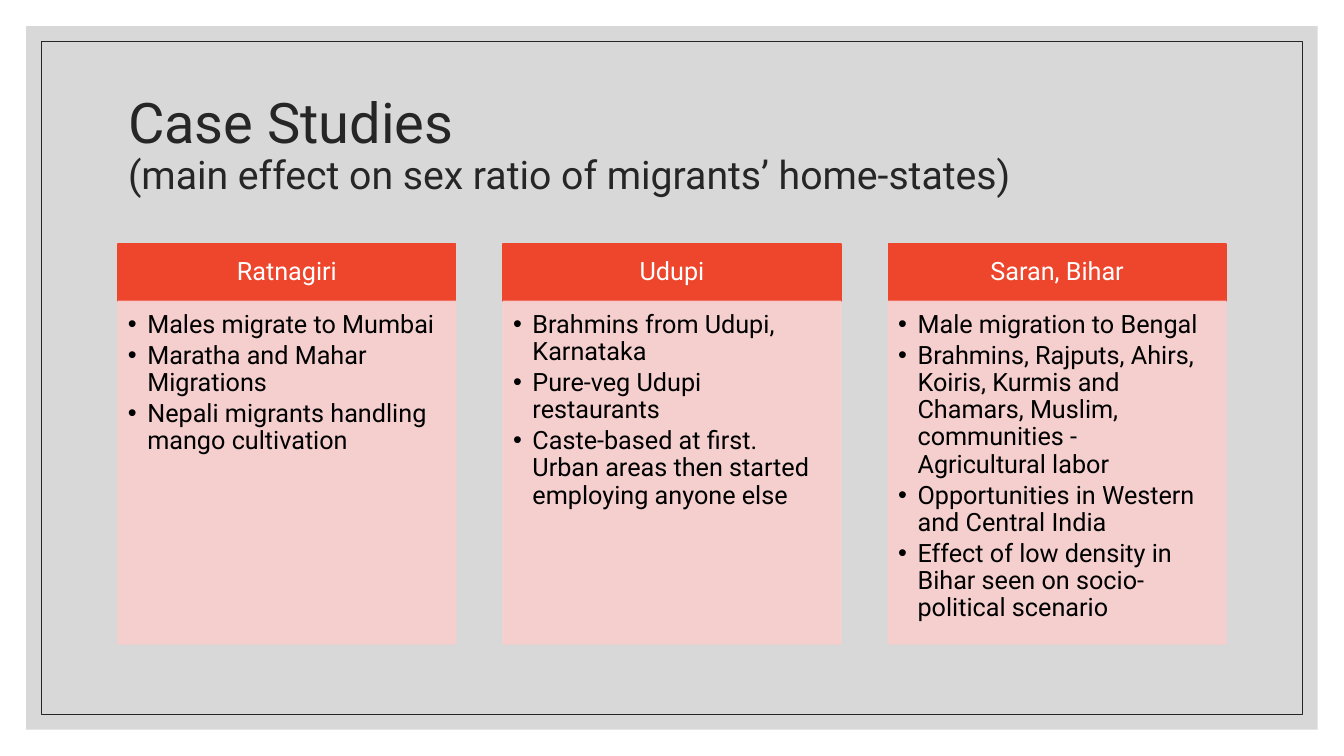
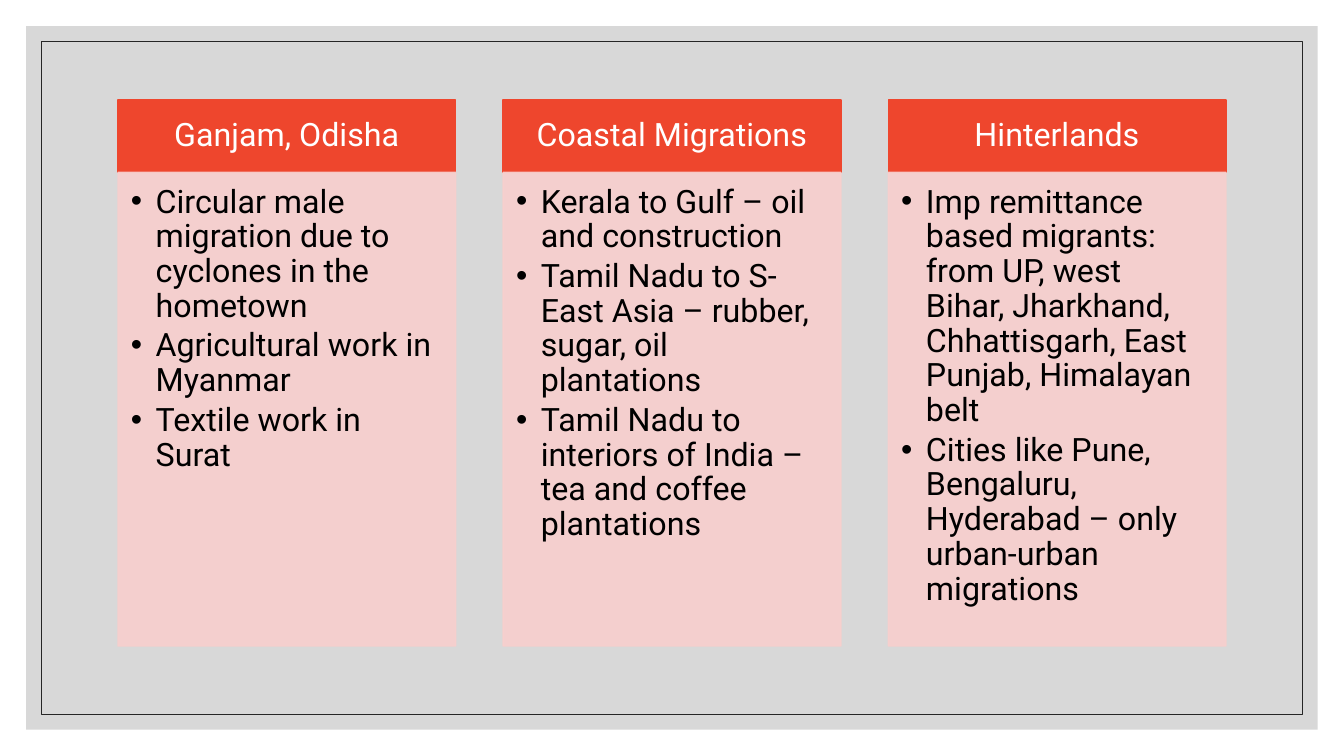
from dataclasses import dataclass
from typing import Any, Optional

from lxml.etree import SubElement
from pptx import Presentation
from pptx.dml.color import RGBColor
from pptx.enum.shapes import MSO_SHAPE
from pptx.enum.text import MSO_ANCHOR as Anchor, MSO_AUTO_SIZE as AutoSize, PP_ALIGN as Align
from pptx.oxml.ns import qn
from pptx.util import Inches, Pt


@dataclass(frozen=True)
class Theme:
    """Colours and type sizes shared by the slides."""
    font: str = "Roboto"
    ink: RGBColor = RGBColor.from_string("262626")
    panel: RGBColor = RGBColor.from_string("BFBFBF")
    accent: RGBColor = RGBColor.from_string("EE462D")
    tint: RGBColor = RGBColor.from_string("F8CFCD")
    white: RGBColor = RGBColor.from_string("FFFFFF")
    black: RGBColor = RGBColor.from_string("000000")
    title_size: float = 40
    subtitle_size: float = 28
    line_spacing: float = 0.9


@dataclass(frozen=True)
class Box:
    """A rectangle in inches."""
    left: float
    top: float
    width: float
    height: float

    def lengths(self) -> tuple:
        """Return the four lengths in slide units."""
        return tuple(Inches(n) for n in (self.left, self.top, self.width, self.height))


@dataclass(frozen=True)
class Grid:
    """Equal columns across the content area."""
    left: float = 1.17
    width: float = 10.99
    gap: float = 0.47
    count: int = 3

    def cell(self, column: int, top: float, height: float) -> Box:
        """Return the box of one column at the given height."""
        width = (self.width - self.gap * (self.count - 1)) / self.count
        return Box(self.left + column * (width + self.gap), top, width, height)


@dataclass(frozen=True)
class Card:
    """A heading with its bullet points."""
    heading: str
    points: tuple


@dataclass(frozen=True)
class CardStyle:
    """Position and type size of a row of cards."""
    top: float
    header_height: float
    body_height: float
    size: float


@dataclass(frozen=True)
class TextStyle:
    """Text format, with insets, indent and spacing in ems."""
    colour: RGBColor
    align: Any
    anchor: Any
    insets: tuple
    space_after: float
    bullet_indent: float = 0


THEME = Theme()
GRID = Grid()
WIDTH, HEIGHT = 13.33, 7.5
HEADER_TEXT = TextStyle(THEME.white, Align.CENTER, Anchor.MIDDLE, (0.56, 0.32, 0.56, 0.32), 0.35)
BODY_TEXT = TextStyle(THEME.black, Align.LEFT, Anchor.TOP, (0.4, 0.4, 0.56, 0.64), 0.15, 0.77)

CASE_CARDS = (
    Card("Ratnagiri", (
        "Males migrate to Mumbai",
        "Maratha and Mahar Migrations",
        "Nepali migrants handling mango cultivation")),
    Card("Udupi", (
        "Brahmins from Udupi, Karnataka",
        "Pure-veg Udupi restaurants",
        "Caste-based at first. Urban areas then started employing anyone else")),
    Card("Saran, Bihar", (
        "Male migration to Bengal",
        "Brahmins, Rajputs, Ahirs, Koiris, Kurmis and Chamars, Muslim, communities - "
        "Agricultural labor",
        "Opportunities in Western and Central India",
        "Effect of low density in Bihar seen on socio-political scenario")),
)
REGION_CARDS = (
    Card("Ganjam, Odisha", (
        "Circular male migration due to cyclones in the hometown",
        "Agricultural work in Myanmar",
        "Textile work in Surat")),
    Card("Coastal Migrations", (
        "Kerala to Gulf – oil and construction",
        "Tamil Nadu to S-East Asia – rubber, sugar, oil plantations",
        "Tamil Nadu to interiors of India – tea and coffee plantations")),
    Card("Hinterlands", (
        "Imp remittance based migrants: from UP, west Bihar, Jharkhand, Chhattisgarh, "
        "East Punjab, Himalayan belt",
        "Cities like Pune, Bengaluru, Hyderabad – only urban-urban migrations")),
)


def apply_format(target: Any, values: dict) -> None:
    """Set each attribute in the dict on the target."""
    for name, value in values.items():
        setattr(target, name, value)


def add_rectangle(slide: Any, box: Box, fill: Optional[RGBColor] = None,
                  line: Optional[RGBColor] = None, line_width: float = 1,
                  opacity: int = 100) -> Any:
    """Draw a rectangle with optional fill, line and opacity percent."""
    shape = slide.shapes.add_shape(MSO_SHAPE.RECTANGLE, *box.lengths())
    shape.shadow.inherit = False
    for paint, colour in ((shape.fill, fill), (shape.line.fill, line)):
        if colour is None:
            paint.background()
        else:
            paint.solid()
            paint.fore_color.rgb = colour
    if line is not None:
        shape.line.width = Pt(line_width)
    if opacity < 100:
        for colour_element in shape.element.spPr.iter(qn("a:srgbClr")):
            SubElement(colour_element, qn("a:alpha"), val=str(opacity * 1000))
    return shape


def add_run(paragraph: Any, text: str, size: float, colour: RGBColor) -> None:
    """Add a run in the theme font."""
    run = paragraph.add_run()
    run.text = text
    apply_format(run.font, {"name": THEME.font, "size": Pt(size)})
    run.font.color.rgb = colour


def add_bullet(paragraph: Any, indent: int) -> None:
    """Give the paragraph a hanging bullet."""
    paragraph.level = 1
    properties = paragraph._p.get_or_add_pPr()
    apply_format_values = {"marL": indent, "indent": -indent}
    for name, value in apply_format_values.items():
        properties.set(name, str(value))
    SubElement(properties, qn("a:buFont"), typeface="Arial")
    SubElement(properties, qn("a:buChar"), char="•")


def write_text(shape: Any, lines: tuple, size: float, style: TextStyle) -> None:
    """Fill the shape with one paragraph a line."""
    frame = shape.text_frame
    left, top, right, bottom = (Pt(size * inset) for inset in style.insets)
    apply_format(frame, {
        "word_wrap": True, "vertical_anchor": style.anchor, "margin_left": left,
        "margin_top": top, "margin_right": right, "margin_bottom": bottom})
    for number, text in enumerate(lines):
        paragraph = frame.add_paragraph() if number else frame.paragraphs[0]
        if style.bullet_indent:
            add_bullet(paragraph, Pt(size * style.bullet_indent))
        apply_format(paragraph, {
            "alignment": style.align, "line_spacing": THEME.line_spacing,
            "space_before": Pt(0), "space_after": Pt(size * style.space_after)})
        add_run(paragraph, text, size, style.colour)


def add_cards(slide: Any, cards: tuple, style: CardStyle) -> None:
    """Draw a row of cards, one to a grid column."""
    for column, card in enumerate(cards):
        header = add_rectangle(slide, GRID.cell(column, style.top, style.header_height),
                               THEME.accent, THEME.accent)
        write_text(header, (card.heading,), style.size, HEADER_TEXT)
        body_top = style.top + style.header_height
        body = add_rectangle(slide, GRID.cell(column, body_top, style.body_height),
                             THEME.tint, THEME.tint, opacity=90)
        write_text(body, card.points, style.size, BODY_TEXT)


def set_title(slide: Any, title: str, subtitle: str) -> None:
    """Place and format the title with its smaller second line."""
    placeholder = slide.shapes.title
    position = Box(GRID.left, 0.7, 11, 1.5).lengths()
    apply_format(placeholder, dict(zip(("left", "top", "width", "height"), position)))
    apply_format(placeholder.text_frame, {
        "word_wrap": True, "auto_size": AutoSize.NONE, "vertical_anchor": Anchor.MIDDLE})
    paragraph = placeholder.text_frame.paragraphs[0]
    apply_format(paragraph, {"alignment": Align.LEFT, "line_spacing": THEME.line_spacing})
    add_run(paragraph, title, THEME.title_size, THEME.ink)
    paragraph.add_line_break()
    add_run(paragraph, subtitle, THEME.subtitle_size, THEME.ink)


def inset_box(margin: float) -> Box:
    """Return the slide area inside an equal margin."""
    return Box(margin, margin, WIDTH - 2 * margin, HEIGHT - 2 * margin)


def add_master_frame(presentation: Any, slide: Any) -> None:
    """Draw the panel and its outline and move them to the slide master."""
    panel = add_rectangle(slide, inset_box(0.26), THEME.panel, opacity=60)
    outline = add_rectangle(slide, inset_box(0.41), line=THEME.ink, line_width=0.5)
    for number, shape in enumerate((panel, outline)):
        shape.element.nvSpPr.cNvPr.set("id", str(100 + number))
        presentation.slide_master.shapes.element.insert(2 + number, shape.element)


def main() -> None:
    """Build and save the two slides."""
    presentation = Presentation()
    apply_format(presentation, {"slide_width": Inches(WIDTH), "slide_height": Inches(HEIGHT)})
    title_only, blank = (presentation.slide_layouts[index] for index in (5, 6))

    case_slide = presentation.slides.add_slide(title_only)
    add_master_frame(presentation, case_slide)
    set_title(case_slide, "Case Studies ", "(main effect on sex ratio of migrants’ home-states)")
    add_cards(case_slide, CASE_CARDS, CardStyle(2.42, 0.57, 3.4, 18))

    region_slide = presentation.slides.add_slide(blank)
    add_cards(region_slide, REGION_CARDS, CardStyle(0.99, 0.72, 4.7, 23))
    presentation.save("out.pptx")


if __name__ == "__main__":
    main()
